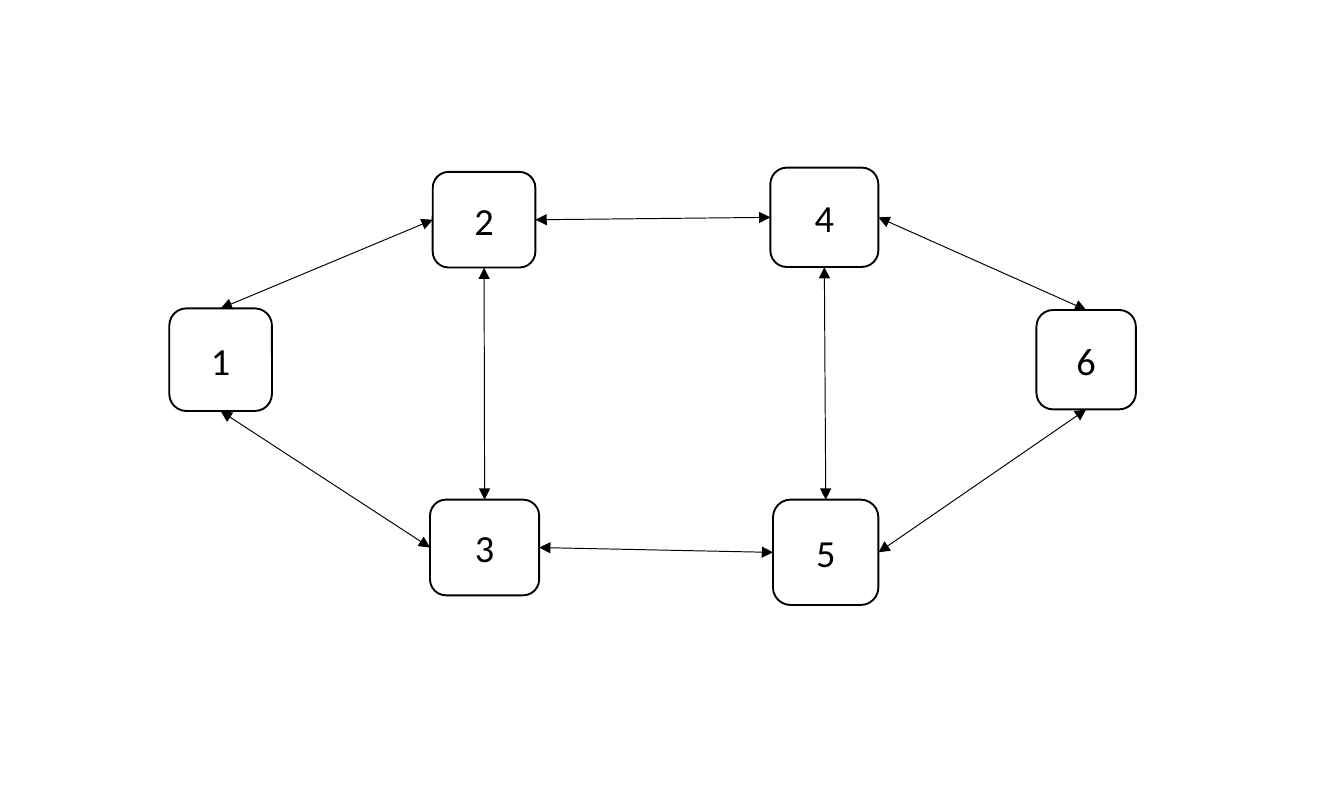
from lxml import etree
from pptx import Presentation
from pptx.dml.color import RGBColor
from pptx.enum.shapes import MSO_CONNECTOR, MSO_SHAPE
from pptx.enum.text import MSO_ANCHOR, PP_ALIGN
from pptx.oxml.ns import qn
from pptx.util import Cm, Pt

ROUNDED = MSO_SHAPE.ROUNDED_RECTANGLE
STRAIGHT = MSO_CONNECTOR.STRAIGHT
MIDDLE = MSO_ANCHOR.MIDDLE
CENTER = PP_ALIGN.CENTER
BLACK = RGBColor(0x00, 0x00, 0x00)
WHITE = RGBColor(0xFF, 0xFF, 0xFF)

# Connection sites of a rounded rectangle
TOP, LEFT, BOTTOM, RIGHT = range(4)

# Node label: left, top, width, height in cm
NODES = {
    "1": (3.15, 5.74, 1.91, 1.91),
    "2": (8.05, 3.2, 1.91, 1.78),
    "3": (8.0, 9.3, 2.03, 1.78),
    "4": (14.33, 3.12, 2.01, 1.85),
    "5": (14.38, 9.3, 1.96, 1.96),
    "6": (19.28, 5.77, 1.85, 1.85),
}

# Start node and site, end node and site
EDGES = [
    ("1", TOP, "2", LEFT),
    ("2", RIGHT, "4", LEFT),
    ("4", RIGHT, "6", TOP),
    ("6", BOTTOM, "5", RIGHT),
    ("5", LEFT, "3", RIGHT),
    ("3", LEFT, "1", BOTTOM),
    ("4", BOTTOM, "5", TOP),
    ("2", BOTTOM, "3", TOP),
]


def write_text(frame, text, size=20.2, font="Calibri", color=BLACK):
    frame.vertical_anchor = MIDDLE
    frame.margin_left = frame.margin_right = Cm(0.43)
    frame.margin_top = frame.margin_bottom = Cm(0.2)
    paragraph = frame.paragraphs[0]
    paragraph.alignment = CENTER
    run = paragraph.add_run()
    run.text = text
    run.font.size = Pt(size)
    run.font.name = font
    run.font.color.rgb = color


prs = Presentation()
prs.slide_width, prs.slide_height = Cm(25), Cm(15)
slide = prs.slides.add_slide(prs.slide_layouts[6])

# Numbered nodes
nodes = {}
for label, box in NODES.items():
    node = slide.shapes.add_shape(ROUNDED, *(Cm(length) for length in box))
    node.shadow.inherit = False
    node.fill.solid()
    node.fill.fore_color.rgb = WHITE
    node.line.color.rgb = BLACK
    node.line.width = Pt(1)
    write_text(node.text_frame, label)
    nodes[label] = node

# Two-way edges glued to the nodes
for start, start_site, end, end_site in EDGES:
    edge = slide.shapes.add_connector(STRAIGHT, 0, 0, 0, 0)
    edge.begin_connect(nodes[start], start_site)
    edge.end_connect(nodes[end], end_site)
    edge.line.color.rgb = BLACK
    edge.line.width = Pt(0.5)
    outline = edge.line._get_or_add_ln()
    for tip in ("a:headEnd", "a:tailEnd"):
        etree.SubElement(outline, qn(tip), type="triangle")
    etree.SubElement(edge._element.spPr, qn("a:effectLst"))

prs.save("out.pptx")
